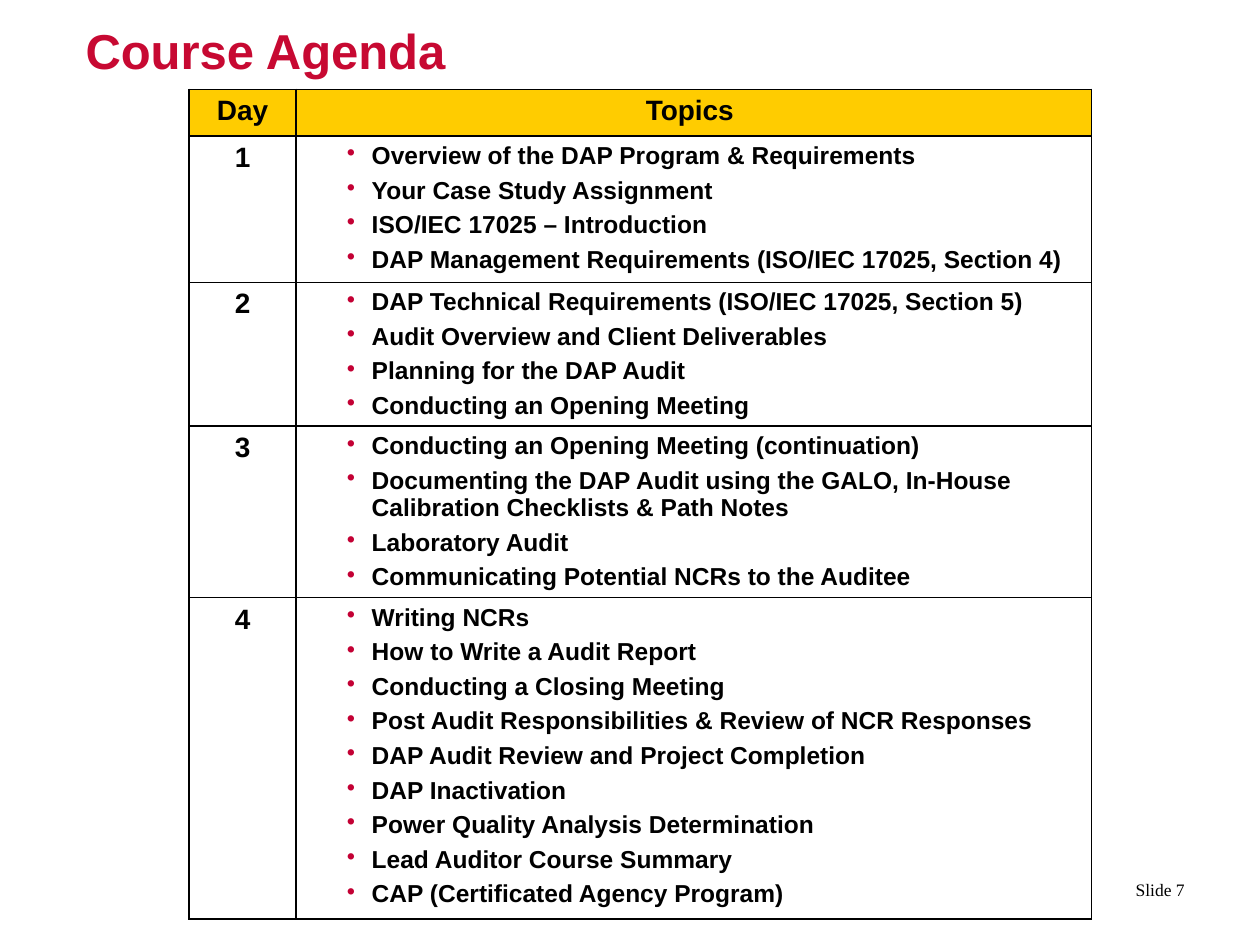
"""Build the course agenda slide."""
import pptx
import pptx.dml.color
import pptx.enum.text
import pptx.oxml
import pptx.oxml.ns
import pptx.util
from pptx.util import Cm, Pt

COLORS = {"title": "C70932", "bullet": "C30034", "header": "FFCC00", "text": "000000"}
ALIGN = pptx.enum.text.PP_ALIGN
ANCHOR = pptx.enum.text.MSO_ANCHOR
AGENDA = [
    ["Overview of the DAP Program & Requirements",
     "Your Case Study Assignment",
     "ISO/IEC 17025 – Introduction",
     "DAP Management Requirements (ISO/IEC 17025, Section 4)"],
    ["DAP Technical Requirements (ISO/IEC 17025, Section 5)",
     "Audit Overview and Client Deliverables",
     "Planning for the DAP Audit",
     "Conducting an Opening Meeting"],
    ["Conducting an Opening Meeting (continuation)",
     "Documenting the DAP Audit using the GALO, In-House Calibration Checklists & Path Notes",
     "Laboratory Audit",
     "Communicating Potential NCRs to the Auditee"],
    ["Writing NCRs",
     "How to Write a Audit Report",
     "Conducting a Closing Meeting",
     "Post Audit Responsibilities & Review of NCR Responses",
     "DAP Audit Review and Project Completion",
     "DAP Inactivation",
     "Power Quality Analysis Determination",
     "Lead Auditor Course Summary",
     "CAP (Certificated Agency Program)"],
]


def element(xml):
    """Parse a drawing element given without its namespace declaration."""
    tag, rest = xml.split(" ", 1)
    return pptx.oxml.parse_xml(f"{tag} {pptx.oxml.ns.nsdecls('a')} {rest}")


class SlideBuilder:
    """Hold the style and the current slide."""

    def __init__(self, prs):
        """Add a title-only slide."""
        self.font = "Arial"
        self.s = prs.slides.add_slide(prs.slide_layouts[5])

    def run(self, p, text, size, color="text", bold=True, font=None):
        """Add one formatted run to a paragraph."""
        r = p.add_run()
        r.text = text
        r.font.name = font or self.font
        r.font.size = Pt(size)
        r.font.bold = bold
        r.font.color.rgb = pptx.dml.color.RGBColor.from_string(COLORS[color])

    def title(self, text, left, top, width, height):
        """Place and format the title placeholder."""
        sp = self.s.shapes.title
        sp.left, sp.top, sp.width, sp.height = Cm(left), Cm(top), Cm(width), Cm(height)
        tf = sp.text_frame
        tf.auto_size = pptx.enum.text.MSO_AUTO_SIZE.NONE
        tf.vertical_anchor = ANCHOR.TOP
        tf.paragraphs[0].alignment = ALIGN.LEFT
        self.run(tf.paragraphs[0], text, 28, "title")

    def slide_label(self, text, left, top, width, height):
        """Add the right-aligned slide label."""
        sp = self.s.shapes.add_textbox(Cm(left), Cm(top), Cm(width), Cm(height))
        tf = sp.text_frame
        tf.word_wrap = True
        tf.vertical_anchor = ANCHOR.MIDDLE
        tf.paragraphs[0].alignment = ALIGN.RIGHT
        self.run(tf.paragraphs[0], text, 10, bold=False, font="Times New Roman")

    def cell(self, cell, fill=None):
        """Give a cell its fill and borders."""
        if fill:
            cell.fill.solid()
            cell.fill.fore_color.rgb = pptx.dml.color.RGBColor.from_string(COLORS[fill])
        else:
            cell.fill.background()
        tc_pr = cell._tc.get_or_add_tcPr()
        for i, side in enumerate("LRTB"):
            tc_pr.insert(i, element(
                f'<a:ln{side} w="{Pt(0.96)}"><a:solidFill><a:srgbClr val="{COLORS["text"]}"/>'
                f'</a:solidFill></a:ln{side}>'))

    def heading(self, cell, text, fill=None):
        """Fill a cell with one centred line."""
        self.cell(cell, fill)
        p = cell.text_frame.paragraphs[0]
        p.alignment = ALIGN.CENTER
        self.run(p, text, 16)

    def bullets(self, cell, items):
        """Fill a cell with a bulleted list."""
        self.cell(cell)
        tf = cell.text_frame
        for i, item in enumerate(items):
            p = tf.add_paragraph() if i else tf.paragraphs[0]
            p.space_before = Pt(2 if i else 0)
            p.space_after = Pt(2)
            p_pr = p._p.get_or_add_pPr()
            p_pr.set("marL", str(Cm(1.27)))
            p_pr.set("indent", str(-Cm(0.5)))
            p_pr.append(element(f'<a:buClr ><a:srgbClr val="{COLORS["bullet"]}"/></a:buClr>'))
            p_pr.append(element('<a:buChar char="•"/>'))
            self.run(p, item, 14)

    def agenda(self, days, left, top, widths, heights):
        """Add the table of days and topics."""
        frame = self.s.shapes.add_table(len(heights), len(widths), Cm(left), Cm(top),
                                        Cm(sum(widths)), Cm(sum(heights)))
        table = frame.table
        table.first_row = table.horz_banding = False
        for column, width in zip(table.columns, widths):
            column.width = Cm(width)
        for row, height in zip(table.rows, heights):
            row.height = Cm(height)
        for i, text in enumerate(["Day", "Topics "]):
            self.heading(table.cell(0, i), text, "header")
        for day, topics in enumerate(days, 1):
            self.heading(table.cell(day, 0), str(day))
            self.bullets(table.cell(day, 1), topics)


def main():
    """Build and save the presentation."""
    prs = pptx.Presentation()
    prs.slide_width, prs.slide_height = Cm(25.4), Cm(19.05)
    slide = SlideBuilder(prs)
    slide.title("Course Agenda", 1.47, 0.28, 23.29, 2.46)
    slide.agenda(AGENDA, 3.81, 1.8, [2.16, 16.03], [0.94, 2.95, 2.85, 3.45, 6.48])
    slide.slide_label("Slide 7", 22.35, 17.42, 1.78, 1.02)
    prs.save("out.pptx")


if __name__ == "__main__":
    main()
